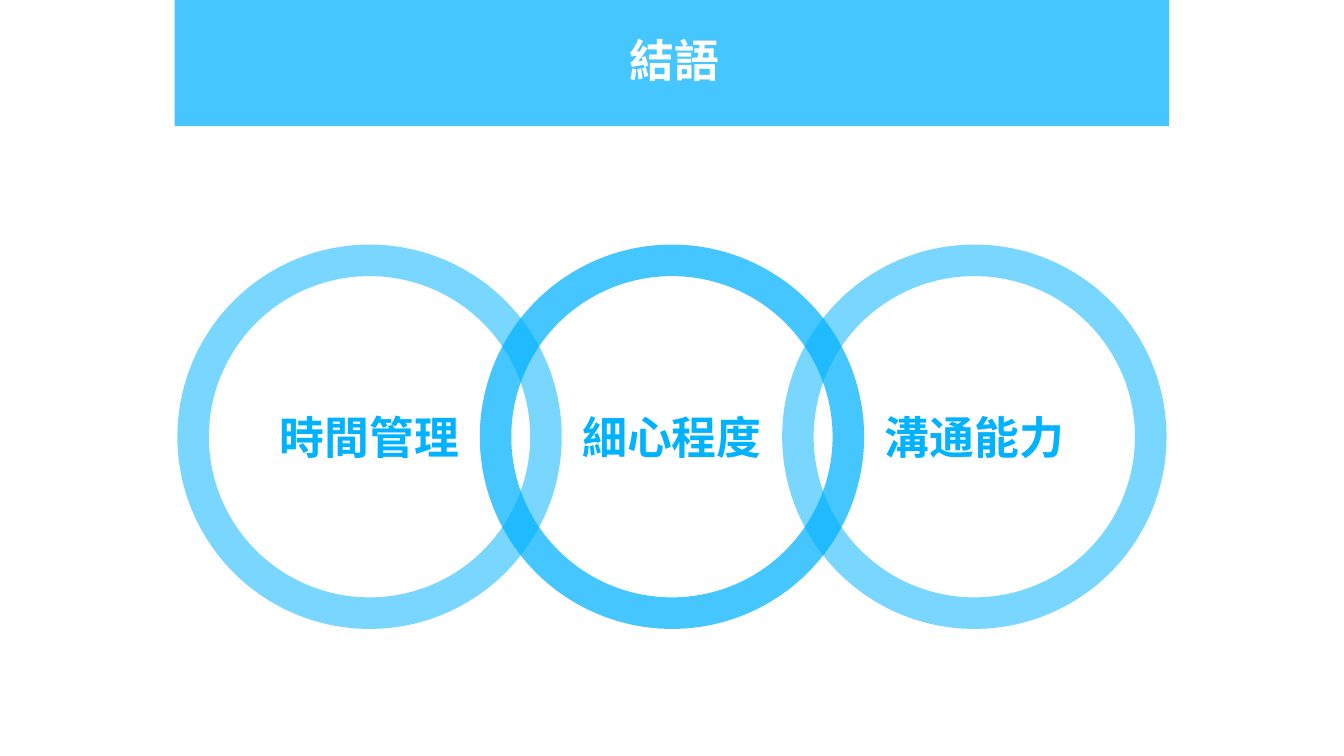
from lxml import etree
from pptx import Presentation
from pptx.dml.color import RGBColor
from pptx.enum.shapes import MSO_SHAPE
from pptx.enum.text import MSO_ANCHOR, PP_ALIGN
from pptx.oxml.ns import qn
from pptx.util import Inches, Pt

FONT = "Noto Sans CJK SC"
BLUE = "00B2FF"
WHITE = "FFFFFF"


def color(value):
    return RGBColor.from_string(value)


def write(shape, text, text_color, anchor):
    frame = shape.text_frame
    settings = {"word_wrap": True, "vertical_anchor": anchor}
    for side in ("left", "top", "right", "bottom"):
        settings[f"margin_{side}"] = Inches(0.1)
    for name, value in settings.items():
        setattr(frame, name, value)
    para = frame.paragraphs[0]
    para.alignment = PP_ALIGN.CENTER
    span = para.add_run()
    span.text = text
    for name, value in {"name": FONT, "size": Pt(24), "bold": True}.items():
        setattr(span.font, name, value)
    span.font.color.rgb = color(text_color)
    etree.SubElement(span.font._element, qn("a:ea"), typeface=FONT)


def add_blue_shape(page, kind, box, opacity):
    """Add a borderless blue shape; opacity is in percent."""
    shape = page.shapes.add_shape(kind, *map(Inches, box))
    shape.shadow.inherit = False
    shape.line.fill.background()
    shape.fill.solid()
    shape.fill.fore_color.rgb = color(BLUE)
    fill_color = shape.fill._xPr.find(f".//{qn('a:srgbClr')}")
    etree.SubElement(fill_color, qn("a:alpha"), val=str(opacity * 1000))
    return shape


def add_header(page, box, text):
    left, top, width, height = box
    add_blue_shape(page, MSO_SHAPE.RECTANGLE, box, 73)
    title = page.shapes.add_textbox(
        *map(Inches, (left + 0.02, top + 0.14, width, 0.55)))
    write(title, text, WHITE, MSO_ANCHOR.TOP)


def add_rings(page, box, labels):
    """Spread overlapping rings evenly over the box, the middle one at the back."""
    left, top, width, size = box
    step = (width - size) / (len(labels) - 1)
    middle = len(labels) // 2
    back_to_front = [middle, *(i for i in reversed(range(len(labels))) if i != middle)]
    for index in back_to_front:
        ring = add_blue_shape(page, MSO_SHAPE.DONUT,
                              (left + index * step, top, size, size),
                              73 if index == middle else 53)
        ring.adjustments[0] = 0.082
        write(ring, labels[index], BLUE, MSO_ANCHOR.MIDDLE)


def main():
    deck = Presentation()
    deck.slide_width = Inches(10)
    deck.slide_height = deck.slide_width * 9 // 16
    page = deck.slides.add_slide(deck.slide_layouts[6])
    add_header(page, (1.3, 0, 7.4, 0.94), "結語")
    add_rings(page, (1.32, 1.82, 7.36, 2.86), ["時間管理", "細心程度", "溝通能力"])
    deck.save("out.pptx")


if __name__ == "__main__":
    main()
